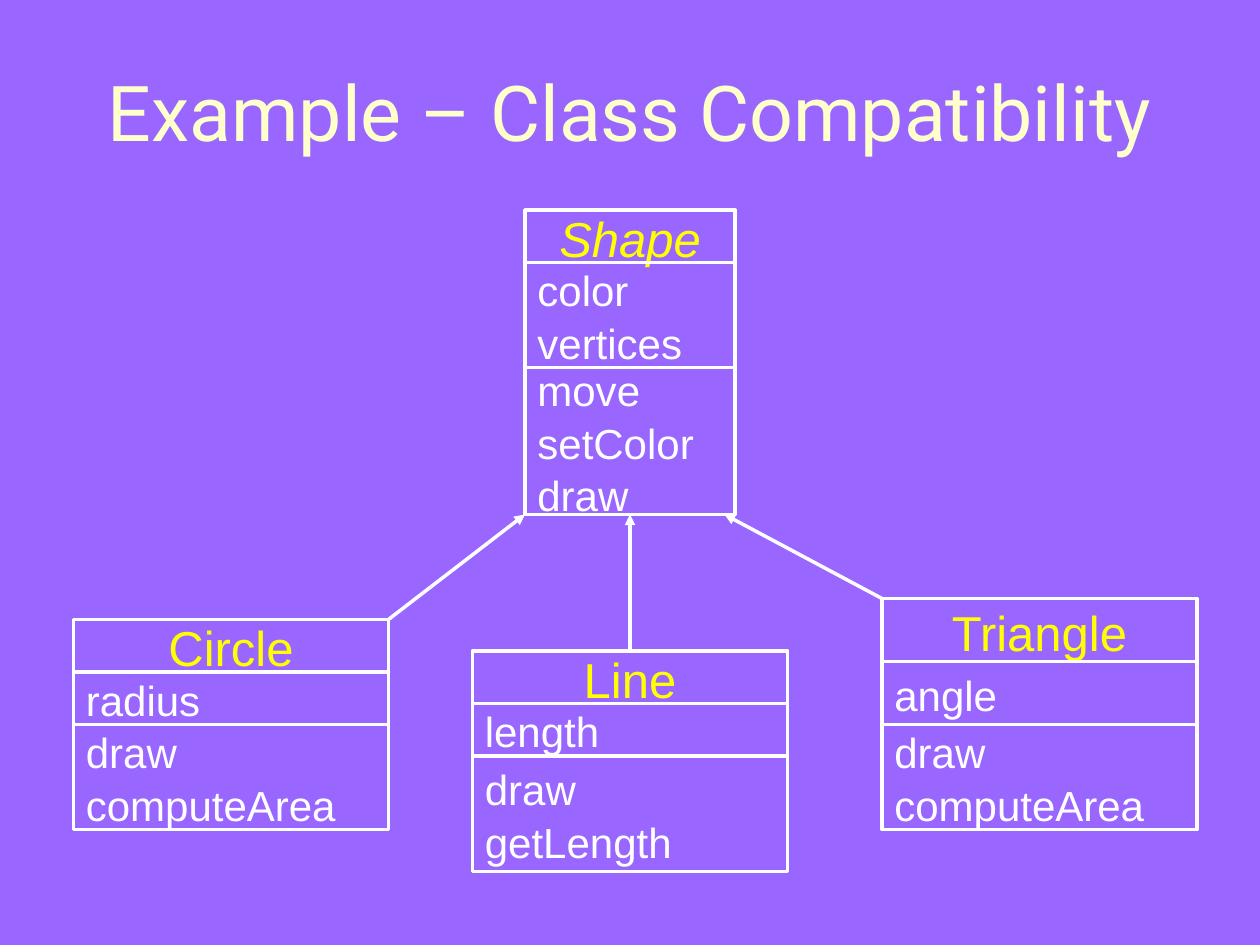
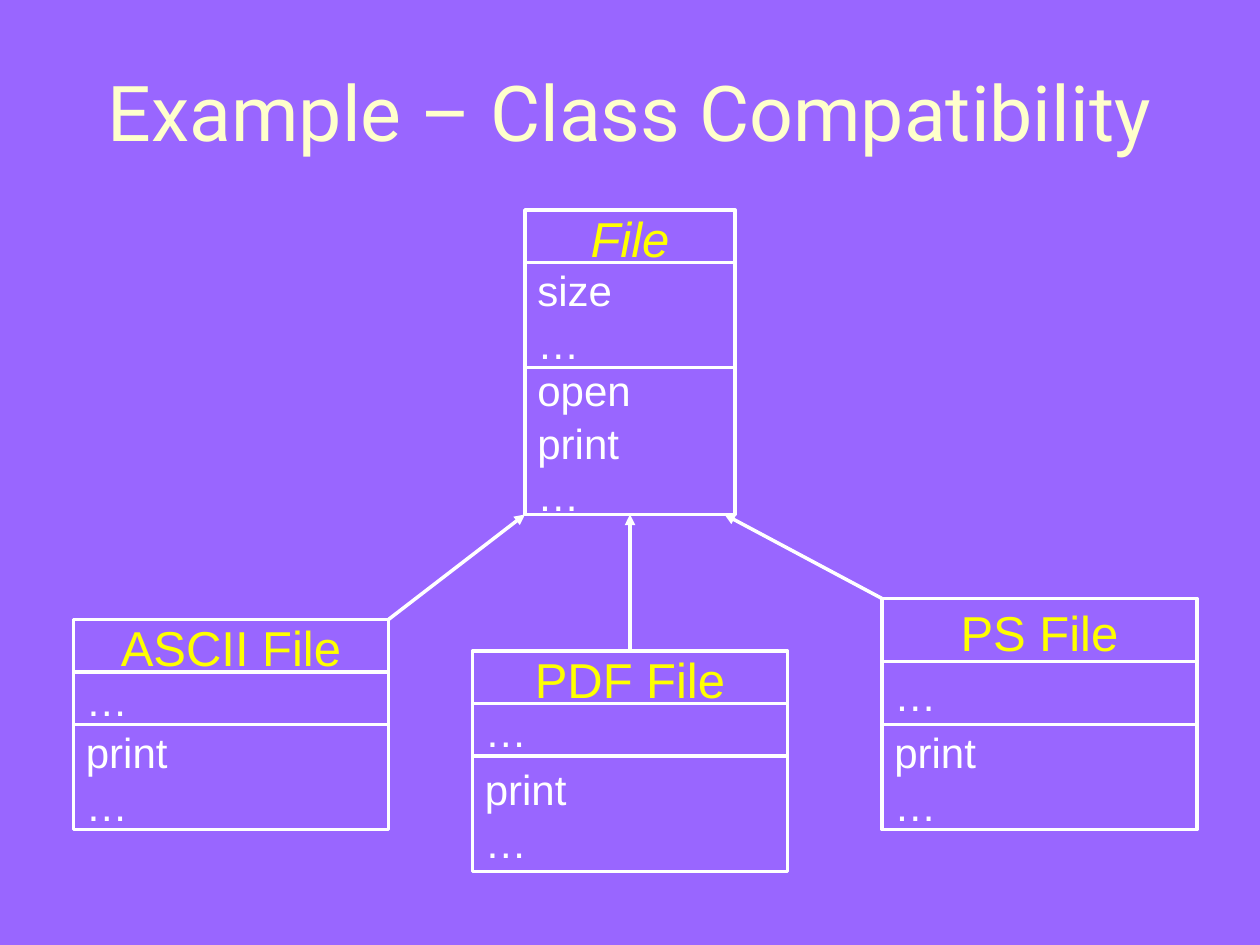
from dataclasses import dataclass

from lxml import etree
from pptx import Presentation
from pptx.dml.color import RGBColor
from pptx.enum.shapes import MSO_CONNECTOR, MSO_SHAPE
from pptx.enum.text import MSO_ANCHOR, PP_ALIGN
from pptx.oxml.ns import qn
from pptx.util import Emu, Pt

RECT = MSO_SHAPE.RECTANGLE
STRAIGHT = MSO_CONNECTOR.STRAIGHT
MIDDLE = MSO_ANCHOR.MIDDLE
LEFT, CENTER = PP_ALIGN.LEFT, PP_ALIGN.CENTER
TOP, BOTTOM = 0, 2  # connection sites of a rectangle


@dataclass(frozen=True)
class Theme:
    back: RGBColor = RGBColor(0x99, 0x66, 0xFF)
    title: RGBColor = RGBColor(0xFF, 0xFF, 0xCC)
    name: RGBColor = RGBColor(0xFF, 0xFF, 0x00)
    ink: RGBColor = RGBColor(0xFF, 0xFF, 0xFF)
    title_font: str = "Roboto"
    font: str = "Arial"
    title_size: int = 44
    name_size: int = 28
    list_size: int = 24
    line: int = 2
    spacing: float = 1.05


THEME = Theme()
TITLE = "Example – Class Compatibility"
TITLE_BOX = (40, 30, 1120, 150)

# Class boxes: left, top, width, heights of the three cells
PARENT = (500, 200, 200, (50, 100, 140))
CHILDREN = [
    (70, 590, 300, (50, 50, 100)),
    (450, 620, 300, (50, 50, 110)),
    (840, 570, 300, (60, 60, 100)),
]
ARROW_INSET = 10  # the right arrow stops short of the parent's corner

# Each class: name, fields, methods; the parent comes first
DIAGRAMS = [
    [
        ("Shape", ["color", "vertices"], ["move", "setColor", "draw"]),
        ("Circle", ["radius"], ["draw", "computeArea"]),
        ("Line", ["length"], ["draw", "getLength"]),
        ("Triangle", ["angle"], ["draw", "computeArea"]),
    ],
    [
        ("File", ["size", "…"], ["open", "print", "…"]),
        ("ASCII File", ["…"], ["print", "…"]),
        ("PDF File", ["…"], ["print", "…"]),
        ("PS File", ["…"], ["print", "…"]),
    ],
]


def px(n):
    """120 px make one inch."""
    return Emu(n * 7620)


def style(par, font, size, color, align, italic=False):
    par.alignment = align
    par.font.name = font
    par.font.size = Pt(size)
    par.font.color.rgb = color
    par.font.italic = italic


def draw_title(slide):
    title = slide.shapes.title
    title.left, title.top, title.width, title.height = map(px, TITLE_BOX)
    frame = title.text_frame
    frame.text = TITLE
    frame.vertical_anchor = MIDDLE
    style(frame.paragraphs[0], THEME.title_font, THEME.title_size,
          THEME.title, CENTER)


def draw_cell(slide, box, lines, size, color, align, italic=False):
    cell = slide.shapes.add_shape(RECT, *map(px, box))
    cell.shadow.inherit = False
    cell.fill.background()
    cell.line.color.rgb = THEME.ink
    cell.line.width = Pt(THEME.line)
    frame = cell.text_frame
    frame.word_wrap = True
    frame.vertical_anchor = MIDDLE
    frame.text = "\n".join(lines)
    for par in frame.paragraphs:
        par.line_spacing = THEME.spacing
        style(par, THEME.font, size, color, align, italic)
    return cell


def draw_class(slide, box, parts, italic=False):
    """Stack name, fields and methods; return the first and last cell."""
    left, top, width, heights = box
    name, *lists = parts
    head = draw_cell(slide, (left, top, width, heights[0]), [name],
                     THEME.name_size, THEME.name, CENTER, italic)
    top += heights[0]
    for lines, height in zip(lists, heights[1:]):
        last = draw_cell(slide, (left, top, width, height), lines,
                         THEME.list_size, THEME.ink, LEFT)
        top += height
    return head, last


def draw_arrow(slide, start, end):
    arrow = slide.shapes.add_connector(STRAIGHT, *map(px, start + end))
    arrow.line.color.rgb = THEME.ink
    arrow.line.width = Pt(THEME.line)
    tip = etree.SubElement(arrow.line._get_or_add_ln(), qn("a:tailEnd"))
    tip.set("type", "triangle")
    etree.SubElement(arrow._element.spPr, qn("a:effectLst"))
    return arrow


def draw_diagram(slide, classes):
    parent, *children = classes
    base = draw_class(slide, PARENT, parent, italic=True)[1]
    heads = [draw_class(slide, box, child)[0]
             for box, child in zip(CHILDREN, children)]

    # Arrows from each child up to the parent
    left, top, width, heights = PARENT
    foot = top + sum(heights)
    first, mid, last = CHILDREN
    draw_arrow(slide, (first[0] + first[2], first[1]), (left, foot))
    center = left + width // 2
    arrow = draw_arrow(slide, (center, mid[1]), (center, foot))
    arrow.begin_connect(heads[1], TOP)
    arrow.end_connect(base, BOTTOM)
    draw_arrow(slide, last[:2], (left + width - ARROW_INSET, foot))


def main():
    deck = Presentation()
    deck.slide_width, deck.slide_height = px(1200), px(900)
    fill = deck.slide_master.background.fill
    fill.solid()
    fill.fore_color.rgb = THEME.back
    for classes in DIAGRAMS:
        slide = deck.slides.add_slide(deck.slide_layouts[5])
        draw_title(slide)
        draw_diagram(slide, classes)
    deck.save("out.pptx")


if __name__ == "__main__":
    main()
